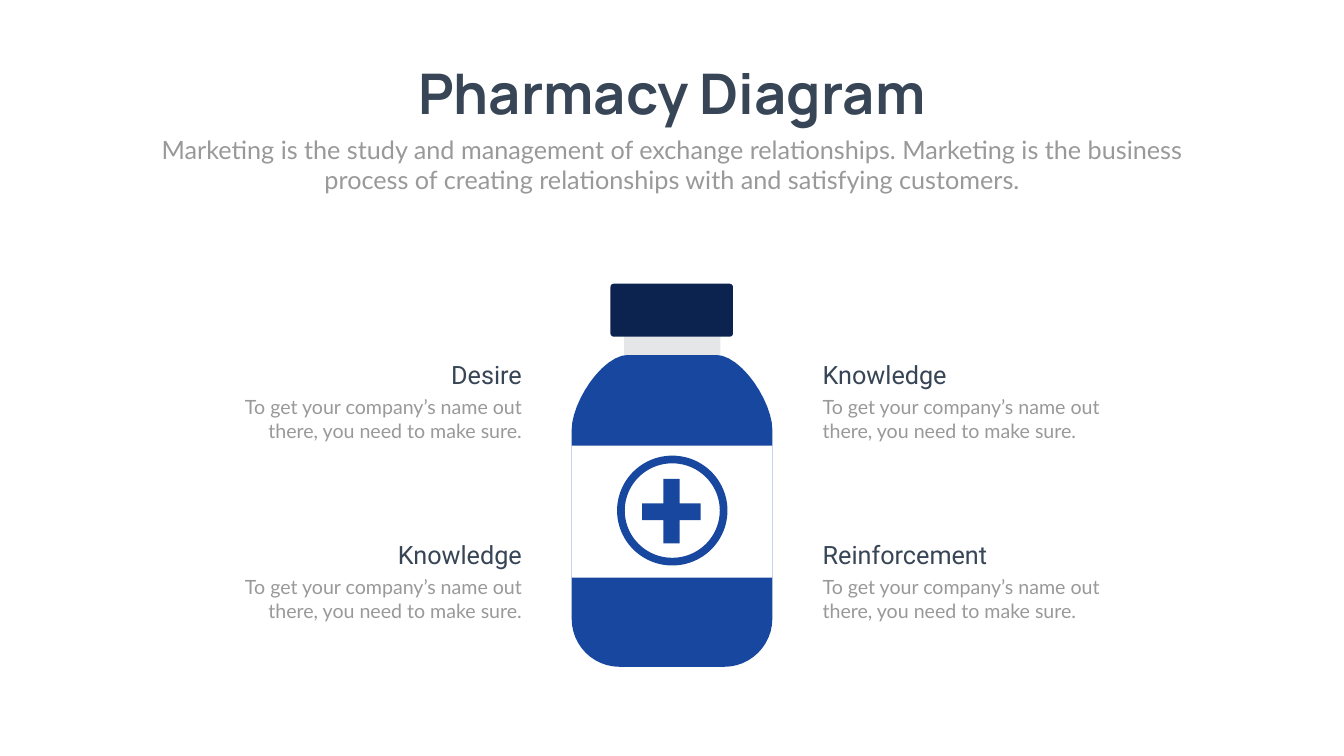
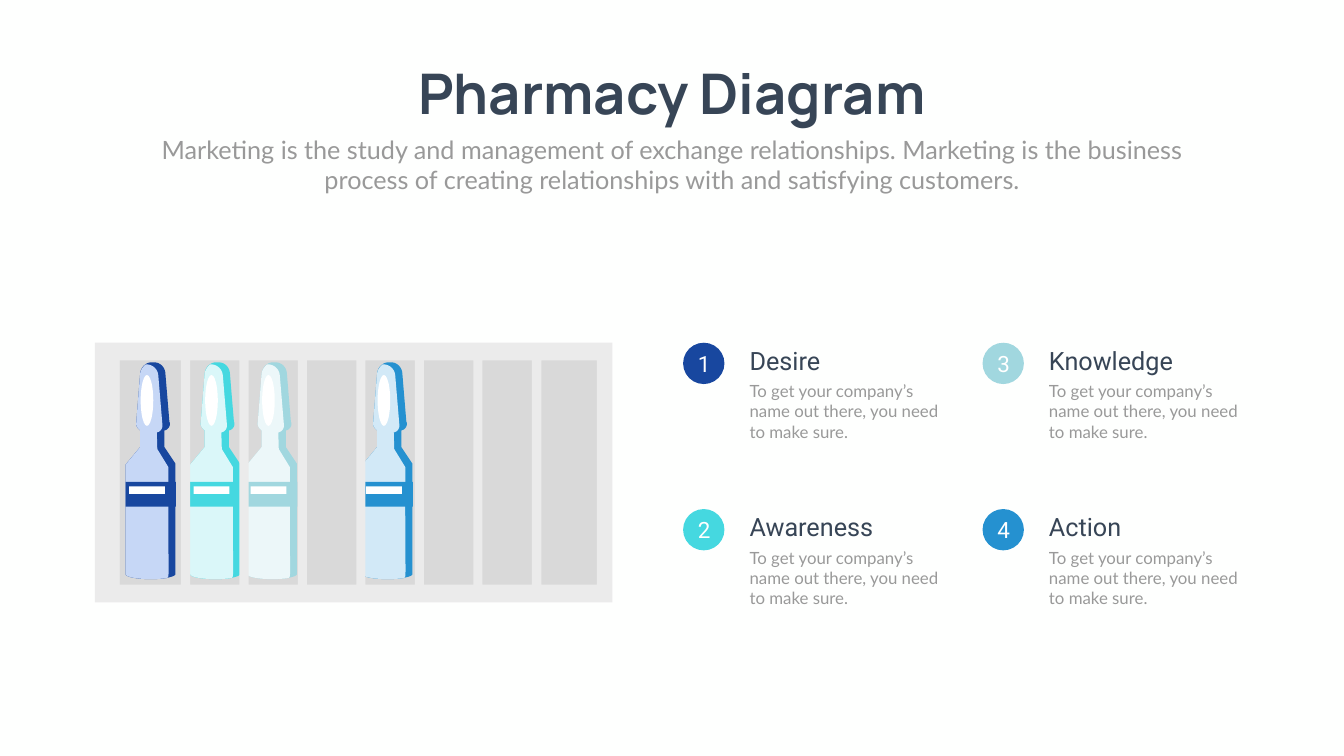
from pptx import Presentation
from pptx.dml.color import RGBColor
from pptx.enum.shapes import MSO_SHAPE
from pptx.enum.text import MSO_ANCHOR, MSO_AUTO_SIZE, PP_ALIGN
from pptx.util import Inches, Pt

RECTANGLE, ROUNDED = MSO_SHAPE.RECTANGLE, MSO_SHAPE.ROUNDED_RECTANGLE
OVAL, DONUT = MSO_SHAPE.OVAL, MSO_SHAPE.DONUT
LEFT, CENTER, RIGHT = PP_ALIGN.LEFT, PP_ALIGN.CENTER, PP_ALIGN.RIGHT
MIDDLE = MSO_ANCHOR.MIDDLE
FIT_SHAPE = MSO_AUTO_SIZE.SHAPE_TO_FIT_TEXT

BACKGROUND, WHITE = "FEFFFE", "FFFFFF"
DARK, GRAY = "374556", "999999"
BLUE, TURQUOISE, PALE, SKY = "18479F", "45D8E0", "A1D7DF", "2591D0"
NAVY, NECK_GRAY = "0C2350", "E5E6E7"
TRAY_GRAY, RACK_GRAY = "D9D9D9", "EBEBEB"
TITLE_FONT, HEADING_FONT, BODY_FONT = "Manrope", "Roboto", "Lato"

TITLE = "Pharmacy Diagram"
SUBTITLE = ("Marketing is the study and management of exchange relationships. "
            "Marketing is the business process of creating relationships "
            "with and satisfying customers.")
DESCRIPTION = "To get your company’s name out there, you need to make sure."
HEADING_WIDTH, HEADING_HEIGHT = 3.26, 0.71

# Outlines in inches: pairs are corners, sextets are Bezier curves
BOTTLE_BODY = [
    (3.98, 6.65), (3.98, 7.17, 3.55, 7.6, 3.03, 7.6), (0.95, 7.6),
    (0.42, 7.6, 0, 7.17, 0, 6.65), (0, 2.89),
    (0, 2.36, 0.6, 1.41, 1.13, 1.41), (2.85, 1.41),
    (3.38, 1.41, 3.98, 2.36, 3.98, 2.89)]
BOTTLE_CROSS = [
    (2.56, 4.36), (2.14, 4.36), (2.14, 3.87), (1.82, 3.87), (1.82, 4.36),
    (1.4, 4.36), (1.4, 4.69), (1.82, 4.69), (1.82, 5.15), (2.14, 5.15),
    (2.14, 4.69), (2.56, 4.69)]
VIAL_LEFT_SIDE = [
    (0.21, 1.23), (0.22, 1.28, 0.25, 1.32, 0.29, 1.35), (0.29, 1.68),
    (0, 2.03), (0, 4.2), (0, 4.29, 0.5, 4.33, 0.82, 4.28)]
VIAL_SHADE = [
    (0.82, 4.28), (0.82, 4.27, 0.99, 4.25, 0.99, 4.2), (0.99, 2.01),
    (0.77, 1.68), (0.77, 1.35), (0.84, 1.34, 0.89, 1.27, 0.88, 1.2),
    (0.87, 1.18), (0.79, 0.21), (0.78, 0.1, 0.69, 0, 0.57, 0), (0.51, 0),
    (0.4, 0, 0.3, 0.1, 0.29, 0.22)] + VIAL_LEFT_SIDE
VIAL_GLASS = [
    (0.82, 4.28), (0.88, 4.24, 0.84, 4.38, 0.85, 2.08), (0.63, 1.72),
    (0.62, 1.39), (0.69, 1.38, 0.74, 1.31, 0.73, 1.24), (0.73, 1.22),
    (0.65, 0.26), (0.64, 0.14, 0.55, 0.05, 0.43, 0.04), (0.4, 0.04),
    (0.34, 0.09, 0.3, 0.15, 0.29, 0.22)] + VIAL_LEFT_SIDE


def color(hex_string):
    return RGBColor.from_string(hex_string)


def paint(shape, fill):
    shape.shadow.inherit = False
    shape.fill.solid()
    shape.fill.fore_color.rgb = color(fill)
    shape.line.fill.background()


def add_preset(slide, kind, left, top, width, height, fill, adjustment=None):
    shape = slide.shapes.add_shape(
        kind, Inches(left), Inches(top), Inches(width), Inches(height))
    paint(shape, fill)
    if adjustment is not None:
        shape.adjustments[0] = adjustment


def flatten(outline, steps=12):
    """Turn an outline of corners and curves into a list of points."""
    points = []
    for segment in outline:
        if len(segment) == 2:
            points.append(segment)
            continue
        controls = [points[-1], segment[:2], segment[2:4], segment[4:]]
        for step in range(1, steps + 1):
            t = step / steps
            weights = ((1 - t) ** 3, 3 * t * (1 - t) ** 2,
                       3 * t * t * (1 - t), t ** 3)
            points.append(tuple(
                sum(weight * point[axis]
                    for weight, point in zip(weights, controls))
                for axis in (0, 1)))
    return points


def add_outline(slide, left, top, outlines, fill):
    builder = None
    for outline in outlines:
        points = [(Inches(left + x), Inches(top + y))
                  for x, y in flatten(outline)]
        if builder is None:
            builder = slide.shapes.build_freeform(*points[0])
        else:
            builder.move_to(*points[0])
        builder.add_line_segments(points[1:], close=True)
    paint(builder.convert_to_shape(), fill)


def add_text(slide, left, top, width, height, text, size, font_name,
             font_color, align=LEFT, bold=False, wrap=True):
    box = slide.shapes.add_textbox(
        Inches(left), Inches(top), Inches(width), Inches(height))
    frame = box.text_frame
    frame.text = text
    frame.word_wrap = wrap
    frame.auto_size = FIT_SHAPE
    paragraph = frame.paragraphs[0]
    paragraph.alignment = align
    font = paragraph.runs[0].font
    font.size, font.name, font.bold = Pt(size), font_name, bold
    font.color.rgb = color(font_color)
    return frame


def add_header(slide):
    add_text(slide, 7.54, 1.12, 11.58, 1.45, TITLE, 80, TITLE_FONT, DARK,
             CENTER, bold=True, wrap=False)
    add_text(slide, 2.92, 2.61, 20.82, 1.31, SUBTITLE, 36, BODY_FONT, GRAY,
             CENTER)


def add_topic(slide, left, top, width, height, heading, size, align=LEFT,
              heading_width=HEADING_WIDTH):
    """Heading over its description; both share the aligned edge."""
    heading_left = left + width - heading_width if align == RIGHT else left
    add_text(slide, heading_left, top, heading_width, HEADING_HEIGHT, heading,
             36, HEADING_FONT, DARK, align)
    add_text(slide, left, top + HEADING_HEIGHT, width, height - HEADING_HEIGHT,
             DESCRIPTION, size, BODY_FONT, GRAY, align)


def add_bottle(slide, left, top):
    add_outline(slide, left, top, [BOTTLE_BODY], BLUE)
    # Label with ringed cross
    add_preset(slide, RECTANGLE, left, top + 3.21, 3.98, 2.62, WHITE)
    add_preset(slide, DONUT, left + 0.9, top + 3.41, 2.19, 2.18, BLUE, 0.07)
    add_outline(slide, left, top, [BOTTLE_CROSS], BLUE)
    # Neck and cap
    add_preset(slide, RECTANGLE, left + 1.04, top + 1.04, 1.91, 0.37, NECK_GRAY)
    add_preset(slide, ROUNDED, left + 0.77, top, 2.43, 1.05, NAVY, 0.06)


def add_vial(slide, left, top, dark, light):
    add_outline(slide, left, top, [VIAL_SHADE], dark)
    add_outline(slide, left, top, [VIAL_GLASS], light)
    add_preset(slide, RECTANGLE, left, top + 2.37, 1, 0.49, dark)
    add_preset(slide, OVAL, left + 0.3, top + 0.25, 0.25, 1.01, WHITE)
    add_preset(slide, RECTANGLE, left + 0.07, top + 2.46, 0.71, 0.15, WHITE)


def rectangle_outline(left, top, right, bottom):
    return [(left, top), (left, bottom), (right, bottom), (right, top)]


def add_vial_box(slide, left, top):
    add_preset(slide, RECTANGLE, left + 0.49, top + 0.23, 9.58, 4.69, TRAY_GRAY)
    vials = [(0.61, BLUE, "C6D7F6"), (1.89, TURQUOISE, "DAF7F9"),
             (3.02, PALE, "ECF7F9"), (5.31, SKY, "D2E9F7")]
    for offset, dark, light in vials:
        add_vial(slide, left + offset, top + 0.39, dark, light)
    # Rack with eight slots; the two end slots are wider
    slots = [(0.49, 1.71)]
    slots += [(1.89 + 1.16 * i, 2.87 + 1.16 * i) for i in range(6)]
    slots.append((8.86, 9.96))
    rack = [rectangle_outline(0, 0, 10.27, 5.15)]
    rack += [rectangle_outline(start, 0.35, end, 4.8) for start, end in slots]
    add_outline(slide, left, top, rack, RACK_GRAY)


def add_numbered_topic(slide, left, top, number, heading, fill):
    add_preset(slide, OVAL, left, top, 0.82, 0.82, fill)
    frame = add_text(slide, left + 0.08, top + 0.08, 0.68, 0.65, str(number),
                     32, HEADING_FONT, WHITE, CENTER)
    frame.vertical_anchor = MIDDLE
    frame.margin_left = frame.margin_right = Inches(0.06)
    frame.margin_top = frame.margin_bottom = Inches(0.06)
    add_topic(slide, left + 1.22, top, 4.07, 2.02, heading, 24)


def build_bottle_slide(slide):
    add_header(slide)
    add_bottle(slide, 11.34, 5.63)
    topics = [(16.22, 7.08, "Knowledge", LEFT, HEADING_WIDTH),
              (4.25, 7.08, "Desire", RIGHT, HEADING_WIDTH),
              (16.22, 10.65, "Reinforcement", LEFT, 3.99),
              (4.25, 10.65, "Knowledge", RIGHT, HEADING_WIDTH)]
    for left, top, heading, align, heading_width in topics:
        add_topic(slide, left, top, 6.2, 1.75, heading, 28, align,
                  heading_width)


def build_vials_slide(slide):
    add_header(slide)
    add_vial_box(slide, 1.88, 6.8)
    topics = [("Desire", BLUE), ("Awareness", TURQUOISE),
              ("Knowledge", PALE), ("Action", SKY)]
    for index, (heading, fill) in enumerate(topics):
        column, row = divmod(index, 2)
        add_numbered_topic(slide, 13.55 + 5.94 * column, 6.8 + 3.3 * row,
                           index + 1, heading, fill)


def main():
    presentation = Presentation()
    presentation.slide_width = Inches(26.66)
    presentation.slide_height = Inches(15)
    background = presentation.slide_master.background.fill
    background.solid()
    background.fore_color.rgb = color(BACKGROUND)
    for build in (build_bottle_slide, build_vials_slide):
        build(presentation.slides.add_slide(presentation.slide_layouts[6]))
    presentation.save("out.pptx")


if __name__ == "__main__":
    main()
